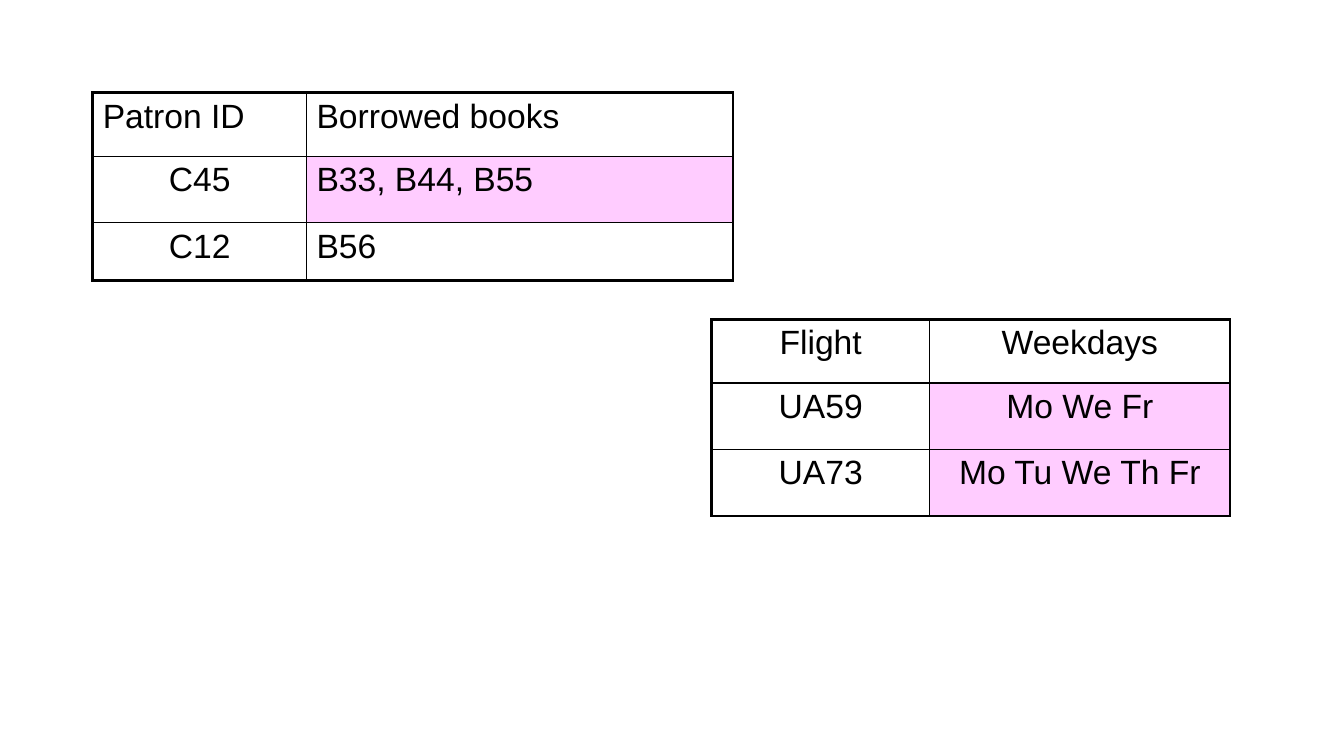
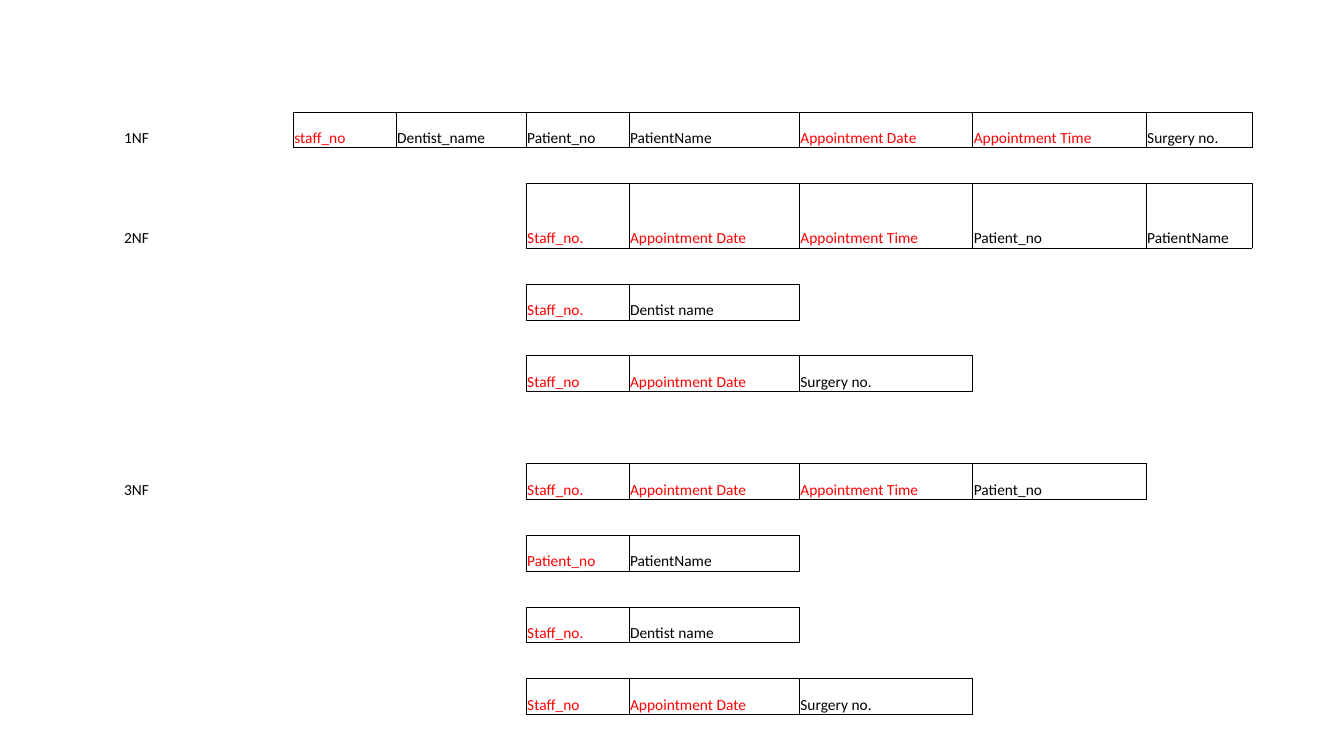
"""Builds two slides: repeating-group tables and a normalisation from 1NF to 3NF."""
from dataclasses import dataclass

from lxml.etree import SubElement
from pptx import Presentation
from pptx.dml.color import RGBColor
from pptx.enum.text import MSO_ANCHOR, PP_ALIGN
from pptx.oxml.ns import qn
from pptx.util import Inches, Pt

BLACK = RGBColor(0x00, 0x00, 0x00)
KEY_RED = RGBColor(0xFF, 0x00, 0x00)
GROUP_PINK = RGBColor(0xFF, 0xCC, 0xFF)
NO_STYLE_NO_GRID = "{2D5ABB26-0587-4C30-8999-92F81FD0307C}"
LEFT, CENTER = PP_ALIGN.LEFT, PP_ALIGN.CENTER
SIDES = {"L": (0, -1), "R": (0, 1), "T": (-1, 0), "B": (1, 0)}


@dataclass
class Entry:
    text: str
    color: RGBColor = BLACK
    align: PP_ALIGN = LEFT
    fill: RGBColor = None
    boxed: bool = True


GROUP_TABLES = [
    dict(
        at=(0.92, 0.92), columns=[2.12, 4.23], heights=[0.63, 0.66, 0.57],
        rows=[("Patron ID", "Borrowed books"), ("C45", "B33, B44, B55"), ("C12", "B56")],
        centered={(1, 0), (2, 0)}, pink={(1, 1)},
    ),
    dict(
        at=(7.06, 3.17), columns=[2.16, 2.98], heights=[0.63, 0.66, 0.66],
        rows=[("Flight", "Weekdays"), ("UA59", "Mo We Fr"), ("UA73", "Mo Tu We Th Fr")],
        centered={(r, c) for r in range(3) for c in range(2)}, pink={(1, 1), (2, 1)},
    ),
]

NORMAL_FORMS = {0: "1NF", 2: "2NF", 9: "3NF"}
# Each relation: grid row, first grid column, positions of its keys, attributes.
RELATIONS = [
    (0, 1, (0, 4, 5), ["staff_no", "Dentist_name", "Patient_no", "PatientName",
                       "Appointment Date", "Appointment Time", "Surgery no."]),
    (2, 3, (0, 1, 2), ["Staff_no.", "Appointment Date", "Appointment Time",
                       "Patient_no", "PatientName"]),
    (4, 3, (0,), ["Staff_no.", "Dentist name"]),
    (6, 3, (0, 1), ["Staff_no", "Appointment Date", "Surgery no."]),
    (9, 3, (0, 1, 2), ["Staff_no.", "Appointment Date", "Appointment Time", "Patient_no"]),
    (11, 3, (0,), ["Patient_no", "PatientName"]),
    (13, 3, (0,), ["Staff_no.", "Dentist name"]),
    (15, 3, (0, 1), ["Staff_no", "Appointment Date", "Surgery no."]),
]
FORM_AT = (1.22, 1.11)
FORM_COLUMNS = [1.69, 1.02, 1.29, 1.02, 1.69, 1.72, 1.72, 1.05]
FORM_HEIGHT, TALL_ROW, TALL_HEIGHT, FORM_ROW_COUNT = 5.98, 2, 0.64, 16


def put_text(cell, text, *, font, size, color, align=LEFT, space_before=None):
    paragraph = cell.text_frame.paragraphs[0]
    paragraph.alignment = align
    if space_before:
        spacing = SubElement(paragraph._p.get_or_add_pPr(), qn("a:spcBef"))
        SubElement(spacing, qn("a:spcPct"), val=str(space_before * 1000))
    run = paragraph.add_run()
    run.text = text
    run.font.name, run.font.size = font, Pt(size)
    run.font.color.rgb = color


def draw_border(cell, side, width):
    line = SubElement(cell._tc.get_or_add_tcPr(), qn(f"a:ln{side}"), w=str(Pt(width)))
    if width:
        paint = SubElement(line, qn("a:solidFill"))
        SubElement(paint, qn("a:srgbClr"), val=str(BLACK))
    else:
        SubElement(line, qn("a:noFill"))


def add_grid(slide, at, columns, heights, entries, *, inner, outer,
             anchor=MSO_ANCHOR.TOP, margins=(0.1, 0.05, 0.1, 0.05), **text_format):
    frame = slide.shapes.add_table(
        len(heights), len(columns), Inches(at[0]), Inches(at[1]),
        Inches(sum(columns)), Inches(sum(heights)))
    table = frame.table
    table.first_row = table.horz_banding = False
    table._tbl.tblPr.find(qn("a:tableStyleId")).text = NO_STYLE_NO_GRID
    for column, width in zip(table.columns, columns):
        column.width = Inches(width)
    for row, height in zip(table.rows, heights):
        row.height = Inches(height)

    boxed = {place for place, entry in entries.items() if entry.boxed}
    for r in range(len(heights)):
        for c in range(len(columns)):
            cell, entry = table.cell(r, c), entries.get((r, c))
            cell.vertical_anchor = anchor
            (cell.margin_left, cell.margin_top,
             cell.margin_right, cell.margin_bottom) = map(Inches, margins)
            for side, (down, across) in SIDES.items():
                row, column = r + down, c + across
                inside = 0 <= row < len(heights) and 0 <= column < len(columns)
                lined = boxed & {(r, c), (row, column)}
                draw_border(cell, side, (inner if inside else outer) if lined else 0)
            if entry and entry.fill:
                cell.fill.solid()
                cell.fill.fore_color.rgb = entry.fill
            else:
                cell.fill.background()
            if entry:
                put_text(cell, entry.text, color=entry.color, align=entry.align, **text_format)


def build_groups(slide):
    for group in GROUP_TABLES:
        entries = {
            (r, c): Entry(text,
                          align=CENTER if (r, c) in group["centered"] else LEFT,
                          fill=GROUP_PINK if (r, c) in group["pink"] else None)
            for r, row in enumerate(group["rows"]) for c, text in enumerate(row)
        }
        add_grid(slide, group["at"], group["columns"], group["heights"], entries,
                 inner=1, outer=2.25, font="Arial", size=24, space_before=20)


def build_normal_forms(slide):
    entries = {(r, 0): Entry(name, boxed=False) for r, name in NORMAL_FORMS.items()}
    for row, start, keys, attributes in RELATIONS:
        for i, attribute in enumerate(attributes):
            entries[row, start + i] = Entry(attribute, KEY_RED if i in keys else BLACK)
    heights = [(FORM_HEIGHT - TALL_HEIGHT) / (FORM_ROW_COUNT - 1)] * FORM_ROW_COUNT
    heights[TALL_ROW] = TALL_HEIGHT
    add_grid(slide, FORM_AT, FORM_COLUMNS, heights, entries, inner=0.5, outer=0.5,
             anchor=MSO_ANCHOR.BOTTOM, margins=(0.01, 0.01, 0.01, 0),
             font="Calibri", size=11)


def main():
    deck = Presentation()
    deck.slide_width, deck.slide_height = Inches(13.33), Inches(7.5)
    for build in (build_groups, build_normal_forms):
        build(deck.slides.add_slide(deck.slide_layouts[6]))
    deck.save("out.pptx")


if __name__ == "__main__":
    main()
